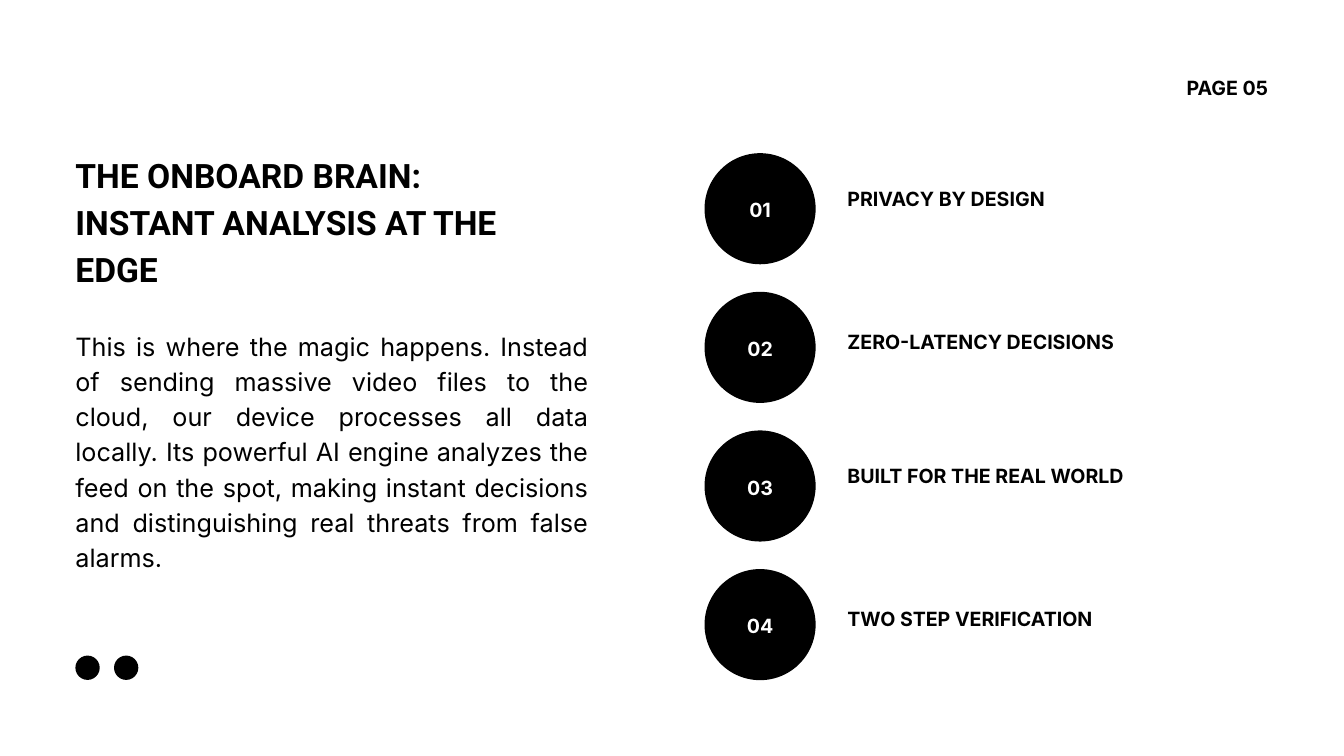
from pptx import Presentation
from pptx.dml.color import RGBColor
from pptx.enum.shapes import MSO_SHAPE
from pptx.enum.text import PP_ALIGN
from pptx.util import Cm, Pt

OVAL = MSO_SHAPE.OVAL
LEFT, CENTER, RIGHT, JUSTIFY = PP_ALIGN.LEFT, PP_ALIGN.CENTER, PP_ALIGN.RIGHT, PP_ALIGN.JUSTIFY
BLACK, WHITE = "000000", "FFFFFF"

HEADING = "THE ONBOARD BRAIN: INSTANT ANALYSIS AT THE EDGE"
BODY = (
    "This is where the magic happens. Instead of sending massive video files "
    "to the cloud, our device processes all data locally. Its powerful AI engine "
    "analyzes the feed on the spot, making instant decisions and distinguishing "
    "real threats from false alarms."
)
PAGE_LABEL = "PAGE 05"
FEATURES = [
    ("PRIVACY BY DESIGN", 6.91),
    ("ZERO-LATENCY DECISIONS", 12.34),
    ("BUILT FOR THE REAL WORLD", 17.4),
    ("TWO STEP VERIFICATION", 22.81),
]

HEADING_FONT = {"name": "Roboto", "size": Pt(36), "bold": True}
BODY_FONT = {"name": "Inter", "size": Pt(27), "bold": False}
LABEL_FONT = {"name": "Inter", "size": Pt(21), "bold": True}

MARGIN = 2.85
LABEL_HEIGHT = 0.99
LABEL_LEFT, LABEL_WIDTH = 32.03, 12.04
CIRCLE_LEFT, CIRCLE_TOP, CIRCLE_SIZE, CIRCLE_STEP = 26.63, 5.79, 4.2, 5.24
NUMBER_WIDTH, NUMBER_DROP = 2.1, 1.56
DOT_TOP, DOT_SIZE, DOT_STEP, DOT_COUNT = 24.78, 0.92, 1.46, 2


def color(value):
    return RGBColor.from_string(value)


def add_text(page, text, left, top, width, height, font, align=LEFT, fill=BLACK):
    box = page.shapes.add_textbox(Cm(left), Cm(top), Cm(width), Cm(height))
    frame = box.text_frame
    frame.word_wrap = True
    for side in ("left", "top", "right", "bottom"):
        setattr(frame, f"margin_{side}", 0)
    para = frame.paragraphs[0]
    para.alignment = align
    para.line_spacing = Pt(font["size"].pt * 1.4)
    span = para.add_run()
    span.text = text
    for name, value in font.items():
        setattr(span.font, name, value)
    span.font.color.rgb = color(fill)


def add_circle(page, left, top, size):
    circle = page.shapes.add_shape(OVAL, Cm(left), Cm(top), Cm(size), Cm(size))
    circle.shadow.inherit = False
    circle.fill.solid()
    circle.fill.fore_color.rgb = color(BLACK)
    circle.line.fill.background()


def main():
    deck = Presentation()
    deck.slide_width, deck.slide_height = Cm(50.8), Cm(28.575)
    page = deck.slides.add_slide(deck.slide_layouts[6])
    page.background.fill.solid()
    page.background.fill.fore_color.rgb = color(WHITE)

    add_text(page, HEADING, MARGIN, 5.61, 18.54, 5.28, HEADING_FONT)
    add_text(page, BODY, MARGIN, 12.32, 19.38, 9.19, BODY_FONT, JUSTIFY)
    add_text(page, PAGE_LABEL, 44.07, 2.74, 3.86, LABEL_HEIGHT, LABEL_FONT, RIGHT)

    number_left = CIRCLE_LEFT + (CIRCLE_SIZE - NUMBER_WIDTH) / 2
    for index, (label, label_top) in enumerate(FEATURES):
        top = CIRCLE_TOP + index * CIRCLE_STEP
        add_text(page, label, LABEL_LEFT, label_top, LABEL_WIDTH, LABEL_HEIGHT, LABEL_FONT)
        add_circle(page, CIRCLE_LEFT, top, CIRCLE_SIZE)
        add_text(page, f"{index + 1:02}", number_left, top + NUMBER_DROP,
                 NUMBER_WIDTH, LABEL_HEIGHT, LABEL_FONT, CENTER, WHITE)

    for index in range(DOT_COUNT):
        add_circle(page, MARGIN + index * DOT_STEP, DOT_TOP, DOT_SIZE)

    deck.save("out.pptx")


if __name__ == "__main__":
    main()
